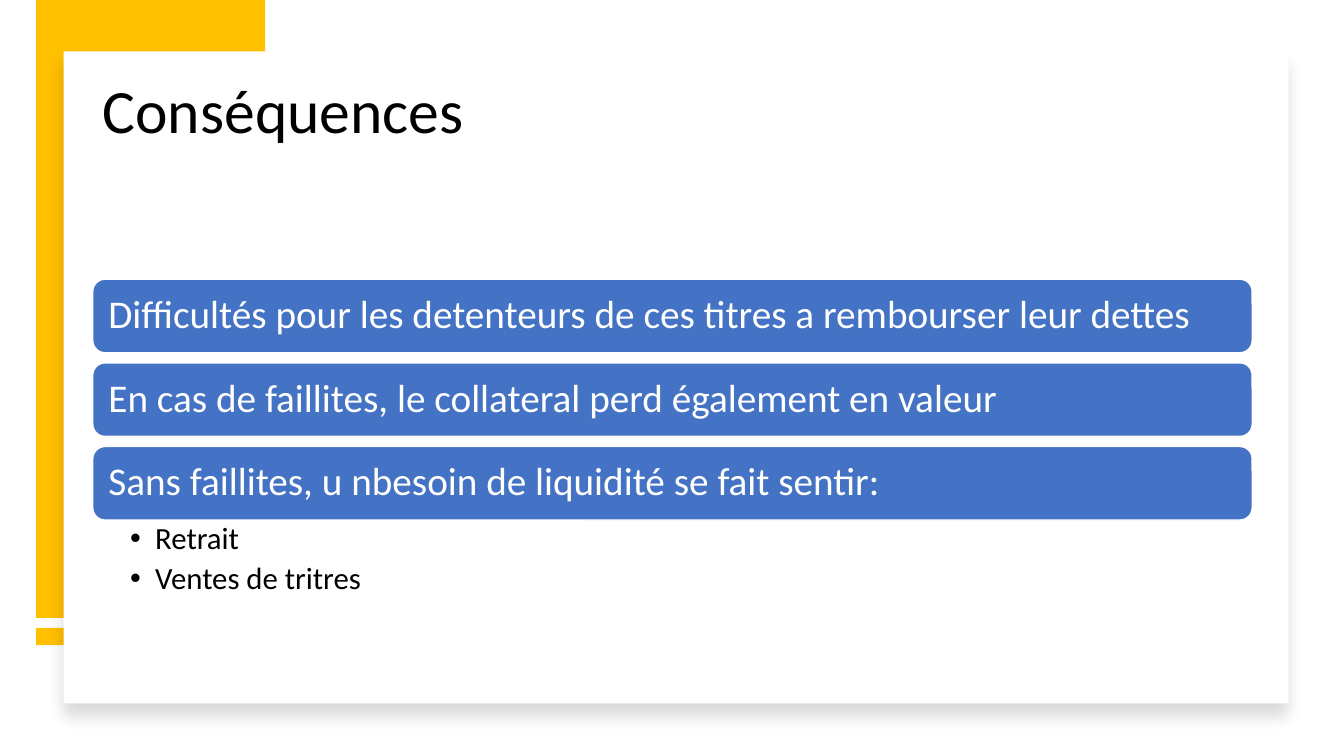
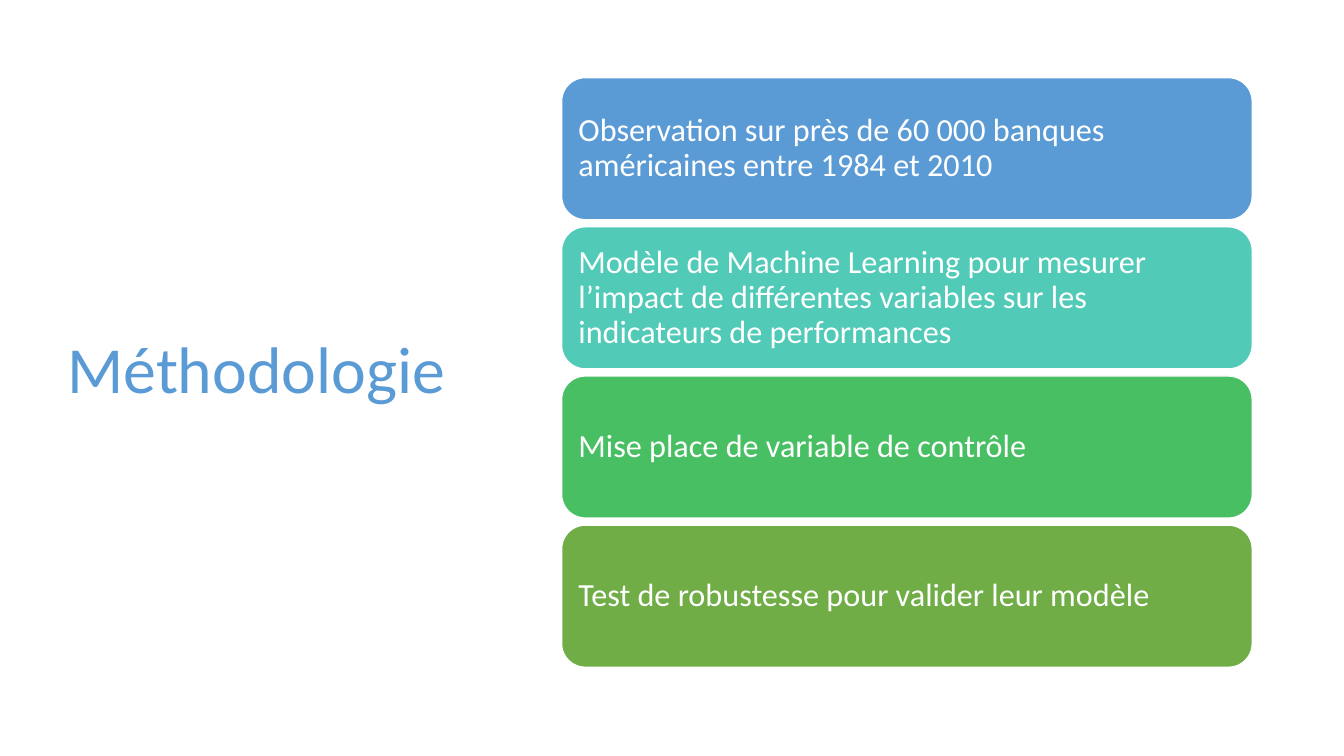
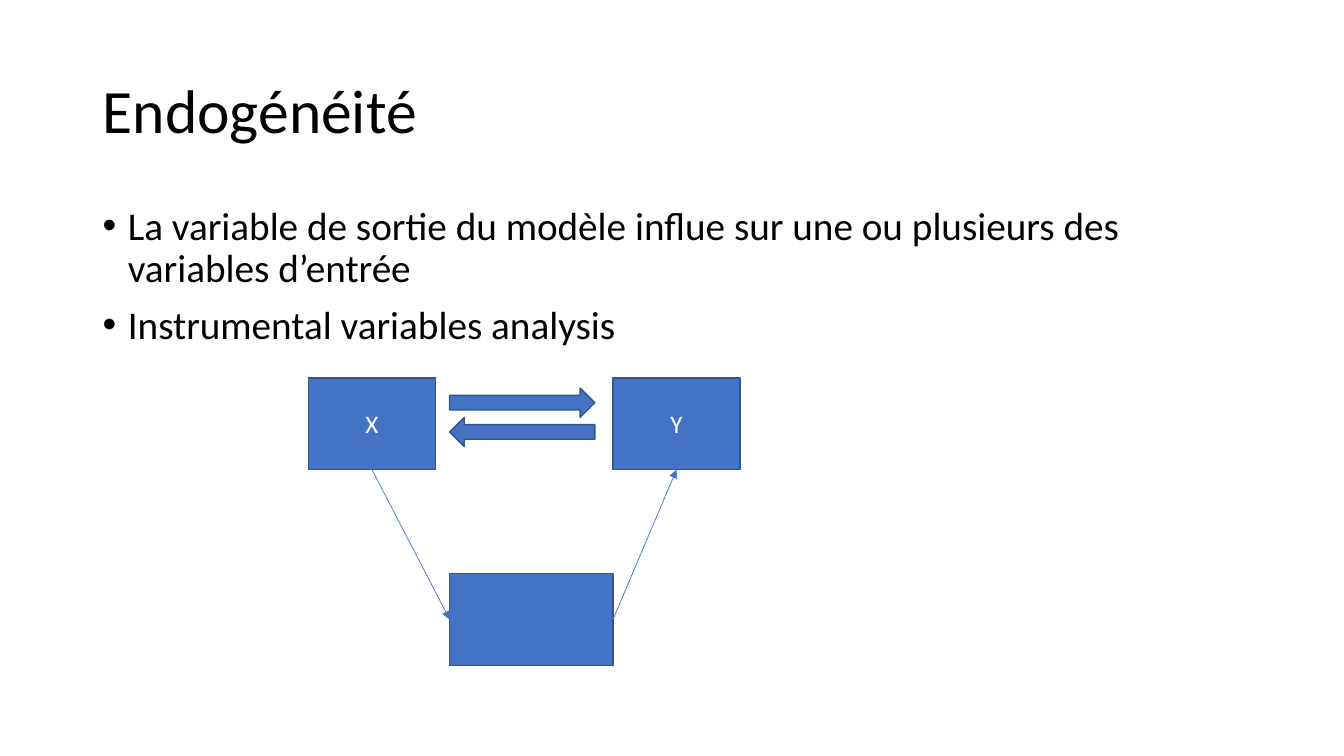
"""Build three slides on bank risk: consequences, methodology and endogeneity."""
import pptx
import pptx.dml.color
import pptx.enum.shapes
import pptx.enum.text
import pptx.oxml
import pptx.oxml.ns
import pptx.util

Inches = pptx.util.Inches
Pt = pptx.util.Pt
RGBColor = pptx.dml.color.RGBColor
SHAPE = pptx.enum.shapes.MSO_SHAPE
ALIGN = pptx.enum.text.PP_ALIGN
ANCHOR = pptx.enum.text.MSO_ANCHOR
qn = pptx.oxml.ns.qn

FONT = "Calibri"
BLACK = RGBColor(0x00, 0x00, 0x00)
WHITE = RGBColor(0xFF, 0xFF, 0xFF)
GOLD = RGBColor(0xFF, 0xC0, 0x00)
BLUE = RGBColor(0x44, 0x72, 0xC4)
NAVY = RGBColor(0x32, 0x54, 0x91)
SKY = RGBColor(0x5B, 0x9B, 0xD5)
TEAL = RGBColor(0x52, 0xCA, 0xB8)
GREEN = RGBColor(0x49, 0xBF, 0x64)
OLIVE = RGBColor(0x70, 0xAD, 0x47)

TITLE_BOX = (0.92, 0.4, 11.5, 1.45)
LINE_SPACING = 0.9
BULLET_INDENT = 0.25
LEFT_SITE, BOTTOM_SITE, RIGHT_SITE = 1, 2, 3


def box(values):
    return [Inches(v) for v in values]


def style_text(p, size, color):
    for r in p.runs:
        r.font.name = FONT
        r.font.size = Pt(size)
        r.font.color.rgb = color


def add_text(s, at, lines, size, color, anchor=ANCHOR.TOP):
    tf = s.shapes.add_textbox(*box(at)).text_frame
    tf.word_wrap = True
    tf.vertical_anchor = anchor
    tf.text = "\n".join(lines)
    for p in tf.paragraphs:
        p.line_spacing = LINE_SPACING
        style_text(p, size, color)
    return tf


def add_title(s, text, at=TITLE_BOX, size=44, color=BLACK):
    add_text(s, at, [text], size, color, ANCHOR.MIDDLE)


def add_bullets(s, at, lines, size, before=0, after=0):
    tf = add_text(s, at, lines, size, BLACK)
    for p in tf.paragraphs:
        p.space_before = Pt(before)
        p.space_after = Pt(after)
        pPr = p._p.get_or_add_pPr()
        pPr.set("marL", str(Inches(BULLET_INDENT)))
        pPr.set("indent", str(-Inches(BULLET_INDENT)))
        pPr.append(pptx.oxml.parse_xml(
            f'<a:buFont {pptx.oxml.ns.nsdecls("a")} typeface="Arial"/>'))
        pPr.append(pptx.oxml.parse_xml(
            f'<a:buChar {pptx.oxml.ns.nsdecls("a")} char="•"/>'))
    return tf


def add_block(s, kind, at, fill, line=None):
    sp = s.shapes.add_shape(kind, *box(at))
    sp.shadow.inherit = False
    sp.fill.solid()
    sp.fill.fore_color.rgb = fill
    if line is None:
        sp.line.fill.background()
    else:
        sp.line.color.rgb = line
        sp.line.width = Pt(1)
    return sp


def add_soft_shadow(sp):
    effects = sp._element.spPr.find(qn("a:effectLst"))
    effects.append(pptx.oxml.parse_xml(
        f'<a:outerShdw {pptx.oxml.ns.nsdecls("a")} blurRad="{Pt(11)}" '
        f'dist="{Pt(10)}" dir="5400000" algn="t" rotWithShape="0">'
        '<a:srgbClr val="000000"><a:alpha val="15000"/></a:srgbClr>'
        '</a:outerShdw>'))


def add_bars(s, at, gap, inset, size, items):
    left, top, width, height = at
    for i, (text, fill) in enumerate(items):
        y = top + i * (height + gap)
        sp = add_block(s, SHAPE.ROUNDED_RECTANGLE, (left, y, width, height), fill, WHITE)
        tf = sp.text_frame
        tf.word_wrap = True
        tf.vertical_anchor = ANCHOR.MIDDLE
        tf.margin_left = tf.margin_right = Inches(inset)
        tf.margin_top = tf.margin_bottom = Inches(inset)
        tf.text = text
        p = tf.paragraphs[0]
        p.alignment = ALIGN.LEFT
        p.line_spacing = LINE_SPACING
        style_text(p, size, WHITE)


def add_node(s, kind, at, text=""):
    sp = add_block(s, kind, at, BLUE, NAVY)
    if text:
        tf = sp.text_frame
        tf.text = text
        tf.vertical_anchor = ANCHOR.MIDDLE
        tf.paragraphs[0].alignment = ALIGN.CENTER
        style_text(tf.paragraphs[0], 18, WHITE)
    return sp


def add_arrow(s, source, source_site, target, target_site):
    line = s.shapes.add_connector(
        pptx.enum.shapes.MSO_CONNECTOR.STRAIGHT, 0, 0, 0, 0)
    line.begin_connect(source, source_site)
    line.end_connect(target, target_site)
    line.line.color.rgb = BLUE
    line.line.width = Pt(0.5)
    ns = pptx.oxml.ns.nsdecls("a")
    line.line._get_or_add_ln().append(
        pptx.oxml.parse_xml(f'<a:tailEnd {ns} type="triangle"/>'))
    line._element.spPr.append(pptx.oxml.parse_xml(f'<a:effectLst {ns}/>'))


def consequences(s):
    add_block(s, SHAPE.RECTANGLE, (0.36, 6.23, 2.27, 0.17), GOLD)
    add_block(s, SHAPE.RECTANGLE, (0.36, 0, 2.27, 6.13), GOLD)
    add_soft_shadow(add_block(s, SHAPE.RECTANGLE, (0.63, 0.51, 12.15, 6.47), WHITE))
    add_title(s, "Conséquences")
    add_bars(s, (0.92, 2.77, 11.5, 0.73), 0.1, 0.12, 28, [
        ("Difficultés pour les detenteurs de ces titres a rembourser leur dettes", BLUE),
        ("En cas de faillites, le collateral perd également en valeur", BLUE),
        ("Sans faillites, u nbesoin de liquidité se fait sentir:", BLUE),
    ])
    tf = add_bullets(s, (0.92, 5.15, 11.5, 0.82), ["Retrait", "Ventes de tritres"],
                     22, after=4.4)
    tf.margin_left, tf.margin_right = Inches(0.37), Inches(0.22)
    tf.margin_top = tf.margin_bottom = Inches(0.04)


def methodology(s):
    add_title(s, "Méthodologie", (0.57, 0.68, 4.16, 6.02), 47, SKY)
    add_bars(s, (5.57, 0.77, 6.85, 1.41), 0.07, 0.1, 23, [
        ("Observation sur près de 60 000 banques américaines entre 1984 et 2010", SKY),
        ("Modèle de Machine Learning pour mesurer l’impact de différentes "
         "variables sur les indicateurs de performances", TEAL),
        ("Mise place de variable de contrôle", GREEN),
        ("Test de robustesse pour valider leur modèle", OLIVE),
    ])


def endogeneity(s):
    add_title(s, "Endogénéité")
    add_bullets(s, (0.92, 2, 11.5, 1.54), [
        "La variable de sortie du modèle influe sur une ou plusieurs des variables d’entrée",
        "Instrumental variables analysis",
    ], 28, before=10)
    x_box = add_node(s, SHAPE.RECTANGLE, (3.06, 3.75, 1.26, 0.91), "X")
    y_box = add_node(s, SHAPE.RECTANGLE, (6.08, 3.75, 1.26, 0.91), "Y")
    add_node(s, SHAPE.RIGHT_ARROW, (4.46, 3.85, 1.44, 0.29))
    add_node(s, SHAPE.LEFT_ARROW, (4.46, 4.14, 1.44, 0.29))
    instrument = add_node(s, SHAPE.RECTANGLE, (4.46, 5.69, 1.62, 0.91))
    add_arrow(s, x_box, BOTTOM_SITE, instrument, LEFT_SITE)
    add_arrow(s, instrument, RIGHT_SITE, y_box, BOTTOM_SITE)


def main():
    prs = pptx.Presentation()
    prs.slide_width, prs.slide_height = Inches(13.33), Inches(7.5)
    for build in (consequences, methodology, endogeneity):
        build(prs.slides.add_slide(prs.slide_layouts[6]))
    prs.save("out.pptx")


if __name__ == "__main__":
    main()
